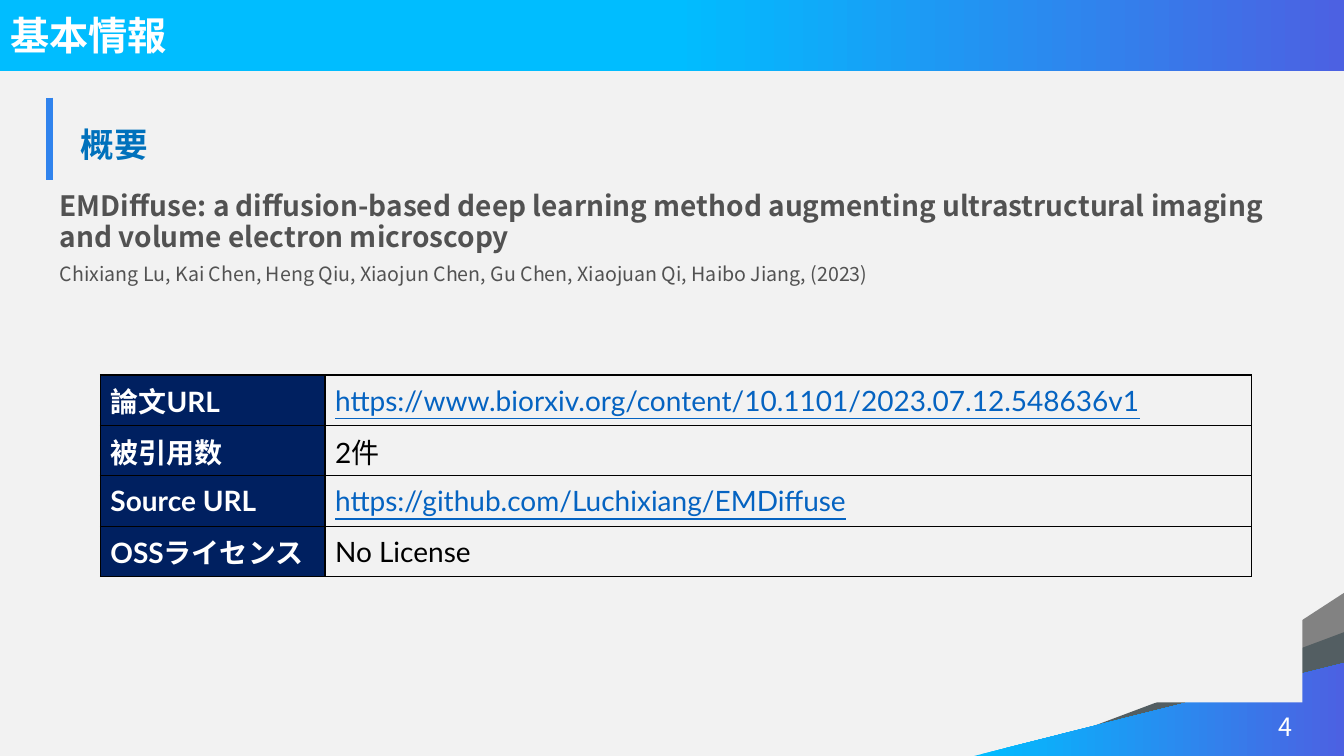
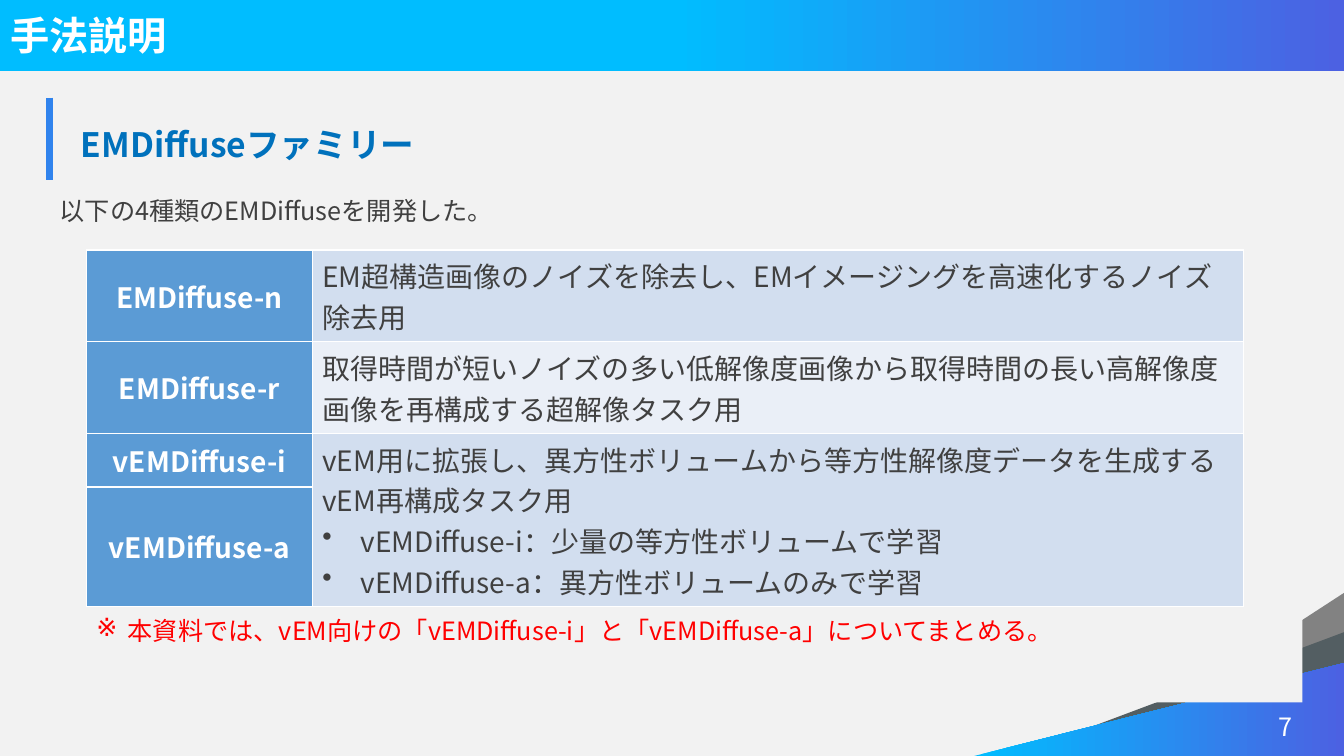
from dataclasses import dataclass

from lxml import etree
from pptx import Presentation
from pptx import util as u
from pptx.dml.color import RGBColor
from pptx.enum import shapes, text
from pptx.oxml.ns import qn


@dataclass(frozen=True)
class Theme:
    font: str = "Noto Sans CJK JP"
    latin: str = "Lato"
    paper: str = "F2F2F2"
    white: str = "FFFFFF"
    black: str = "000000"
    cyan: str = "00BDFF"
    violet: str = "4C61E2"
    gray: str = "828282"
    slate: str = "535E62"
    bar: str = "3083ED"
    heading: str = "0071BC"
    citation: str = "525252"
    body: str = "404040"
    link: str = "0563C1"
    navy: str = "002060"
    blue: str = "5B9BD5"
    pale: str = "D2DEEF"
    paler: str = "EAEFF7"
    red: str = "FF0000"
    title_size: int = 28
    heading_size: int = 24
    large: int = 20
    normal: int = 18
    small: int = 14


T = Theme()
WIDTH, HEIGHT = 33.87, 19.05
BAND_HEIGHT = 1.8
TITLE_BOX = (0, 0, 27.5, 1.73)
HEADING_BOX = (1.25, 2.46, 31.57, 2.08)
BODY_BOX = (1.25, 4.72, 31.57, 12.98)
NUMBER_BOX = (24.92, 17.8, 7.9, 0.69)
NOTE_BOX = (2.18, 15.39, 29.16, 1.02)
CORNERS = [(6.32, 4.11, T.gray), (8.33, 3.12, T.slate), (9.32, 2.34, None)]

BODY_FMT = {"size": T.normal, "color": T.body}
LABEL = {"size": T.large, "color": T.white, "bold": True}
CELL = {"size": T.large, "color": T.body}
FACT_LABEL = {**LABEL, "name": T.latin}
FACT = {"size": T.large, "color": T.black, "name": T.latin}
LINK = {**FACT, "color": T.link, "underline": True}
ITEM = {**CELL, "bullet": "•", "indent": 0.97}

SLIDES = [
    {
        "title": "基本情報",
        "heading": "概要",
        "number": "4",
        "body": [
            ("EMDiffuse: a diffusion-based deep learning method augmenting "
             "ultrastructural imaging and volume electron microscopy",
             {"size": T.large, "color": T.citation, "bold": True}),
            ("Chixiang Lu, Kai Chen, Heng Qiu, Xiaojun Chen, Gu Chen, "
             "Xiaojuan Qi, Haibo Jiang, (2023)",
             {"size": T.small, "color": T.citation}),
        ],
        "spacing": 0.91,
        "table": {
            "at": (2.53, 9.45),
            "cols": [5.66, 23.34],
            "rows": [1.27] * 4,
            "border": T.black,
            "label_fill": T.navy,
            "label_fmt": FACT_LABEL,
            "label_align": text.PP_ALIGN.LEFT,
            "cells": [
                ("論文URL", [("https://www.biorxiv.org/content/10.1101/2023.07.12.548636v1", LINK)], None),
                ("被引用数", [("2件", FACT)], None),
                ("Source URL", [("https://github.com/Luchixiang/EMDiffuse", LINK)], None),
                ("OSSライセンス", [("No License", FACT)], None),
            ],
        },
    },
    {
        "title": "手法説明",
        "heading": "EMDiffuseファミリー",
        "number": "7",
        "body": [("以下の4種類のEMDiffuseを開発した。", BODY_FMT)],
        "spacing": 1.1,
        "table": {
            "at": (2.18, 6.3),
            "cols": [5.69, 23.47],
            "rows": [2.31, 2.31, 1.35, 3.01],
            "border": T.white,
            "label_fill": T.blue,
            "label_fmt": LABEL,
            "label_align": text.PP_ALIGN.CENTER,
            "merge": [(2, 3)],
            "cells": [
                ("EMDiffuse-n",
                 [("EM超構造画像のノイズを除去し、EMイメージングを高速化するノイズ除去用", CELL)], T.pale),
                ("EMDiffuse-r",
                 [("取得時間が短いノイズの多い低解像度画像から取得時間の長い高解像度"
                   "画像を再構成する超解像タスク用", CELL)], T.paler),
                ("vEMDiffuse-i",
                 [("vEM用に拡張し、異方性ボリュームから等方性解像度データを生成する"
                   "vEM再構成タスク用", CELL),
                  ("vEMDiffuse-i：少量の等方性ボリュームで学習", ITEM),
                  ("vEMDiffuse-a：異方性ボリュームのみで学習", ITEM)], T.pale),
                ("vEMDiffuse-a", [], T.pale),
            ],
        },
        "note": [("本資料では、vEM向けの「vEMDiffuse-i」と「vEMDiffuse-a」についてまとめる。",
                  {"size": T.normal, "color": T.red, "bullet": "※", "indent": 0.79})],
    },
]


def cm(values):
    return [u.Cm(v) for v in values]


def place(sp, box):
    sp.left, sp.top, sp.width, sp.height = cm(box)


def paint(fill, color):
    if color is None:
        fill.background()
    else:
        fill.solid()
        fill.fore_color.rgb = RGBColor.from_string(color)


def grade(fill, start, angle):
    fill.gradient()
    fill.gradient_angle = angle
    for stop, position, color in zip(fill.gradient_stops, (start, 1), (T.cyan, T.violet)):
        stop.position = position
        stop.color.rgb = RGBColor.from_string(color)


def set_bullet(p, char, indent):
    pPr = p._p.get_or_add_pPr()
    pPr.set("marL", str(u.Cm(indent)))
    pPr.set("indent", str(-u.Cm(indent)))
    if char:
        etree.SubElement(pPr, qn("a:buChar")).set("char", char)
    else:
        etree.SubElement(pPr, qn("a:buNone"))


def write(tf, paragraphs, align=text.PP_ALIGN.LEFT, spacing=1.0, before=0):
    tf.word_wrap = True
    for i, (words, fmt) in enumerate(paragraphs):
        p = tf.paragraphs[0] if i == 0 else tf.add_paragraph()
        set_bullet(p, fmt.get("bullet"), fmt.get("indent", 0))
        p.alignment = align
        p.line_spacing = spacing
        p.space_before = u.Pt(before if i else 0)
        r = p.add_run()
        r.text = words
        values = {"name": fmt.get("name", T.font), "size": u.Pt(fmt["size"]),
                  "bold": fmt.get("bold", False), "underline": fmt.get("underline", False)}
        for key, value in values.items():
            setattr(r.font, key, value)
        r.font.color.rgb = RGBColor.from_string(fmt["color"])
        etree.SubElement(r._r.get_or_add_rPr(), qn("a:ea")).set("typeface", T.font)


def set_borders(cell, lines):
    tcPr = cell._tc.get_or_add_tcPr()
    for i, side in enumerate("LRTB"):
        color, width = lines.get(side, (None, 0))
        ln = etree.Element(qn("a:ln" + side), w=str(u.Pt(width)))
        if color:
            solid = etree.SubElement(ln, qn("a:solidFill"))
            etree.SubElement(solid, qn("a:srgbClr")).set("val", color)
        else:
            etree.SubElement(ln, qn("a:noFill"))
        tcPr.insert(i, ln)


def add_grid(s, at, cols, rows):
    box = (*at, sum(cols), sum(rows))
    table = s.shapes.add_table(len(rows), len(cols), *cm(box)).table
    table.first_row = table.horz_banding = False
    for parts, key, sizes in ((table.columns, "width", cols), (table.rows, "height", rows)):
        for part, size in zip(parts, sizes):
            setattr(part, key, u.Cm(size))
    for cell in table.iter_cells():
        cell.vertical_anchor = text.MSO_ANCHOR.MIDDLE
    return table


def add_heading(s, words):
    left, top, width, height = HEADING_BOX
    cell = add_grid(s, (left, top), [width], [height]).cell(0, 0)
    margins = {"left": 0.79, "top": 0.41, "right": 0.51, "bottom": 0.36}
    for side, size in margins.items():
        setattr(cell, "margin_" + side, u.Cm(size))
    paint(cell.fill, T.paper)
    set_borders(cell, {"L": (T.bar, 6)})
    write(cell.text_frame, [(words, {"size": T.heading_size, "color": T.heading, "bold": True})],
          spacing=1.1)


def add_content_table(s, data):
    table = add_grid(s, data["at"], data["cols"], data["rows"])
    for first, last in data.get("merge", []):
        table.cell(first, 1).merge(table.cell(last, 1))
    for row, (label, paragraphs, fill) in enumerate(data["cells"]):
        head, detail = table.cell(row, 0), table.cell(row, 1)
        for cell, color in ((head, data["label_fill"]), (detail, fill)):
            paint(cell.fill, color)
            set_borders(cell, {side: (data["border"], 1) for side in "LRTB"})
        write(head.text_frame, [(label, data["label_fmt"])], data["label_align"])
        write(detail.text_frame, paragraphs)


def add_textbox(s, box, paragraphs, align=text.PP_ALIGN.LEFT):
    write(s.shapes.add_textbox(*cm(box)).text_frame, paragraphs, align)


def dress_layout(layout, s):
    paint(layout.background.fill, T.paper)
    place(layout.placeholders[0], TITLE_BOX)
    place(layout.placeholders[1], BODY_BOX)
    band = s.shapes.add_shape(shapes.MSO_SHAPE.RECTANGLE, *cm((0, 0, WIDTH, BAND_HEIGHT)))
    grade(band.fill, 0.5, 0)
    decor = [band]
    for run, rise, color in CORNERS:
        reach = (run + rise) / 2
        box = (WIDTH - reach, HEIGHT - reach, rise, run)
        sp = s.shapes.add_shape(shapes.MSO_SHAPE.RIGHT_TRIANGLE, *cm(box))
        sp.rotation = 270
        if color:
            paint(sp.fill, color)
        else:
            grade(sp.fill, 0, 270)
        decor.append(sp)
    for i, sp in enumerate(decor):
        sp.shadow.inherit = False
        sp.line.fill.background()
        layout.shapes.element.insert(2 + i, sp.element)


def fill_slide(s, data):
    title, body = s.shapes.title, s.placeholders[1]
    for sp, anchor in ((title, text.MSO_ANCHOR.MIDDLE), (body, text.MSO_ANCHOR.TOP)):
        sp.text_frame.auto_size = text.MSO_AUTO_SIZE.NONE
        sp.text_frame.vertical_anchor = anchor
    write(title.text_frame, [(data["title"], {"size": T.title_size, "color": T.white, "bold": True})])
    paint(body.fill, T.paper)
    write(body.text_frame, data["body"], spacing=data["spacing"], before=8)
    add_textbox(s, NUMBER_BOX, [(data["number"], {"size": T.normal, "color": T.white})],
                text.PP_ALIGN.RIGHT)
    add_heading(s, data["heading"])
    add_content_table(s, data["table"])
    if "note" in data:
        add_textbox(s, NOTE_BOX, data["note"])


def main():
    prs = Presentation()
    prs.slide_width, prs.slide_height = cm((WIDTH, HEIGHT))
    layout = prs.slide_layouts[1]
    for i, data in enumerate(SLIDES):
        s = prs.slides.add_slide(layout)
        if i == 0:
            dress_layout(layout, s)
        fill_slide(s, data)
    prs.save("out.pptx")


if __name__ == "__main__":
    main()
